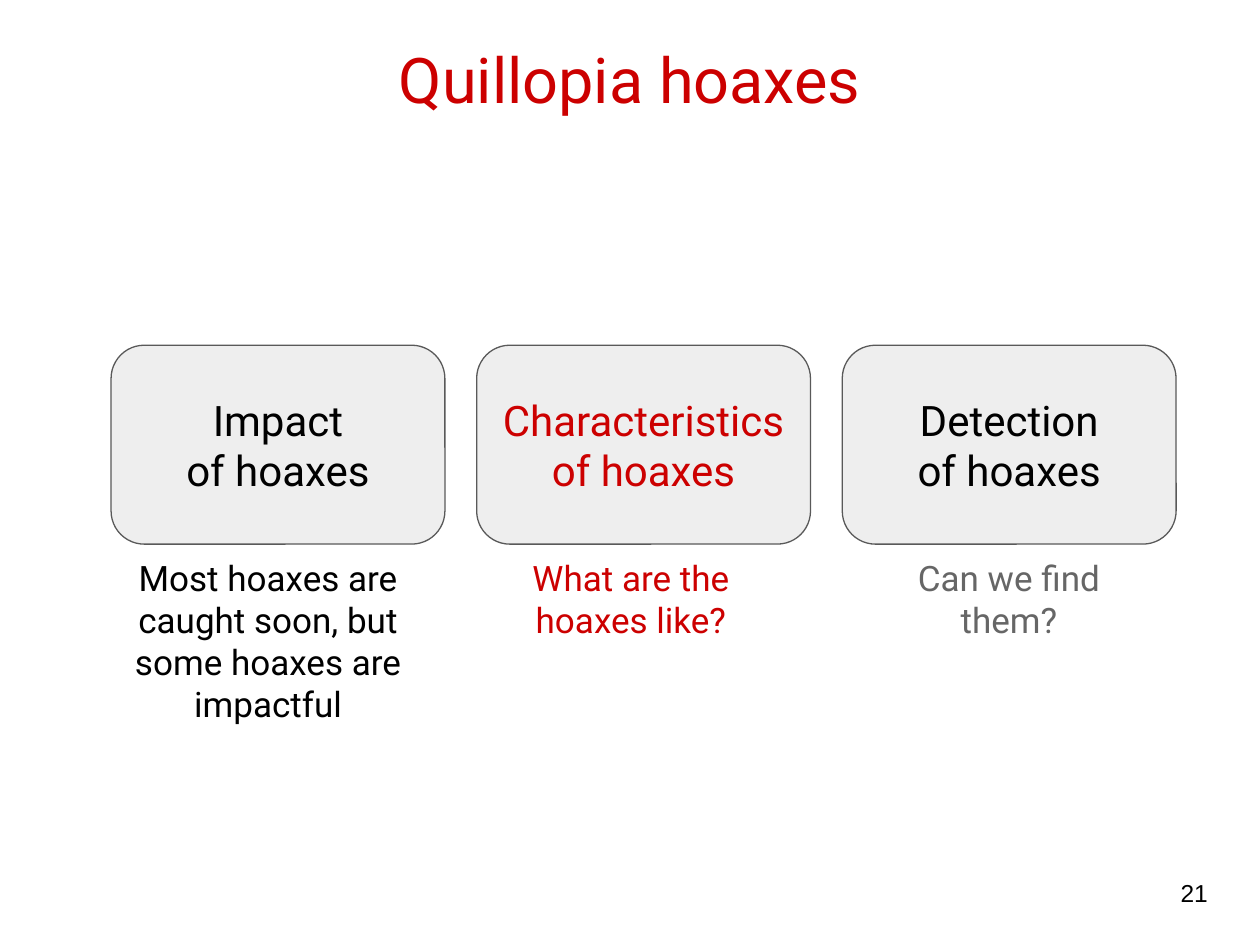
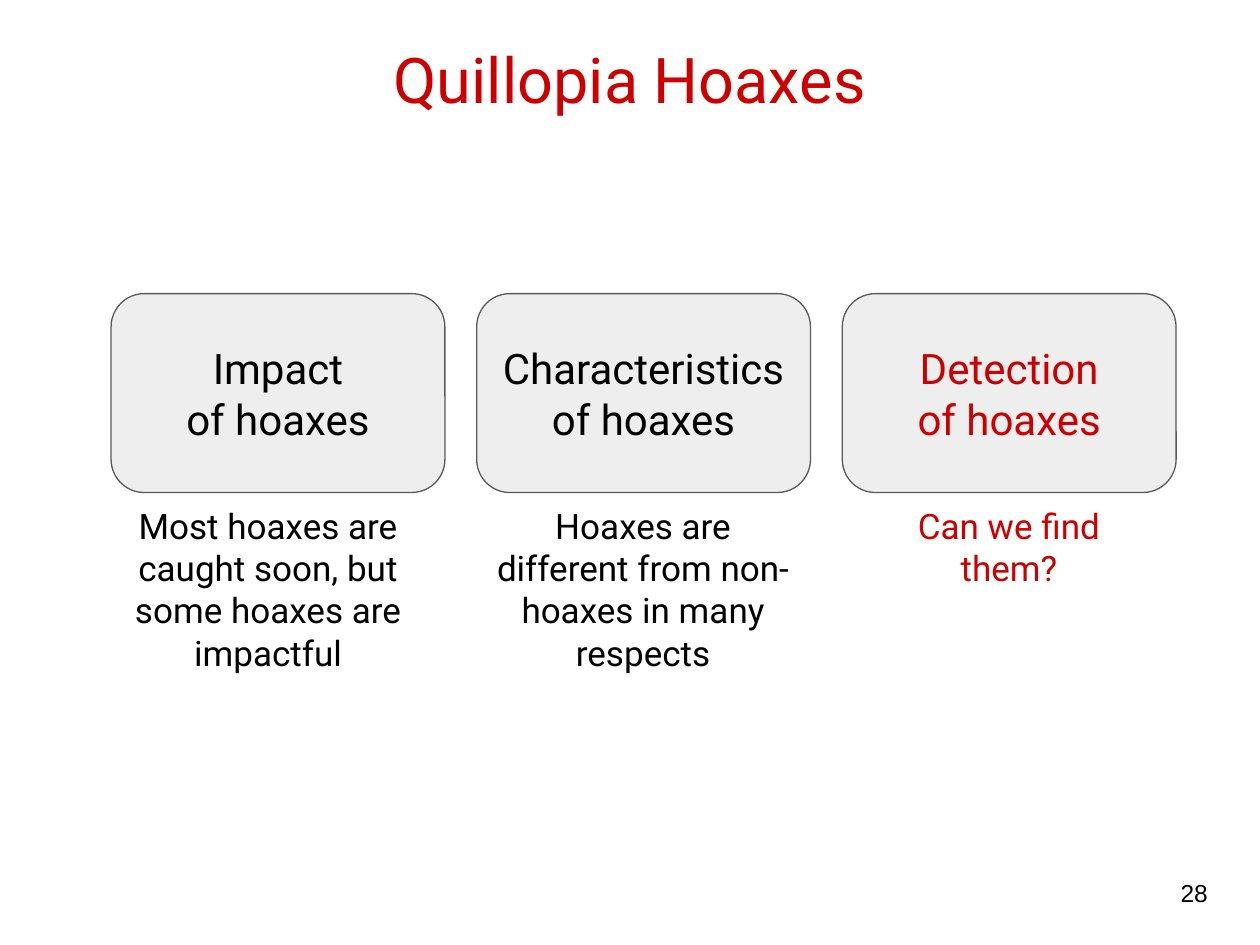
from pptx import Presentation, util as u
from pptx.dml.color import RGBColor
from pptx.enum import shapes, text

Cm = u.Cm
RED, BLACK, GREY = "CC0000", "000000", "666666"
BOX_FILL, BOX_LINE = "EEEEEE", "595959"
FONT, NUMBER_FONT = "Roboto", "Arial"

# Content: each topic has a name, its colour, a caption and the caption colour
IMPACT = ("Impact", BLACK,
          "Most hoaxes are caught soon, but some hoaxes are impactful", BLACK)
SLIDES = [
    {"title": "Quillopia hoaxes", "number": "21", "top": 6.96,
     "caption_spans": [(2.41, 5.99), (9.86, 5.72), (17.48, 5.72)],
     "topics": [IMPACT,
                ("Characteristics", RED, "What are the hoaxes like?", RED),
                ("Detection", BLACK, "Can we find them?", GREY)]},
    {"title": "Quillopia Hoaxes", "number": "28", "top": 5.92,
     "caption_spans": [(2.41, 5.99), (9.6, 6.73), (17.48, 5.72)],
     "topics": [IMPACT,
                ("Characteristics", BLACK,
                 "Hoaxes are different from non-hoaxes in many respects", BLACK),
                ("Detection", RED, "Can we find them?", RED)]},
]

# Row of boxes, in centimetres
BOX_LEFT, BOX_STEP, BOX_WIDTH, BOX_HEIGHT = 2.24, 7.37, 6.73, 4.01
CAPTION_HEIGHT = 4.5
INSET = 0.25


def color(hex_string):
    return RGBColor.from_string(hex_string)


def write(shape, words, size, hex_string, anchor, font=FONT,
          align=text.PP_ALIGN.CENTER):
    frame = shape.text_frame
    frame.text = words
    frame.word_wrap = True
    frame.auto_size = text.MSO_AUTO_SIZE.NONE
    frame.vertical_anchor = anchor
    frame.margin_left = frame.margin_right = Cm(INSET)
    frame.margin_top = frame.margin_bottom = Cm(INSET)
    for paragraph in frame.paragraphs:
        paragraph.alignment = align
        for run in paragraph.runs:
            run.font.size = u.Pt(size)
            run.font.name = font
            run.font.color.rgb = color(hex_string)


def add_frame(presentation, title, number):
    """Add a slide with its title and page number."""
    slide = presentation.slides.add_slide(presentation.slide_layouts[5])
    heading = slide.shapes.title
    heading.left, heading.top = Cm(0.86), Cm(0)
    heading.width, heading.height = Cm(23.67), Cm(2.59)
    write(heading, title, 36, RED, text.MSO_ANCHOR.BOTTOM)
    page = slide.shapes.add_textbox(Cm(23.55), Cm(17.27), Cm(1.52), Cm(1.45))
    write(page, number, 14, BLACK, text.MSO_ANCHOR.MIDDLE, NUMBER_FONT,
          text.PP_ALIGN.LEFT)
    return slide


def add_topic_box(slide, left, top, name, hex_string):
    box = slide.shapes.add_shape(shapes.MSO_SHAPE.ROUNDED_RECTANGLE, Cm(left),
                                 Cm(top), Cm(BOX_WIDTH), Cm(BOX_HEIGHT))
    box.shadow.inherit = False
    box.fill.solid()
    box.fill.fore_color.rgb = color(BOX_FILL)
    box.line.color.rgb = color(BOX_LINE)
    box.line.width = u.Pt(0.75)
    write(box, f"{name}\nof hoaxes", 24, hex_string, text.MSO_ANCHOR.MIDDLE)


def main():
    presentation = Presentation()
    presentation.slide_width, presentation.slide_height = Cm(25.4), Cm(19.05)
    for content in SLIDES:
        slide = add_frame(presentation, content["title"], content["number"])
        top = content["top"]
        columns = zip(content["topics"], content["caption_spans"])
        for index, (topic, (caption_left, caption_width)) in enumerate(columns):
            name, name_color, caption, caption_color = topic
            add_topic_box(slide, BOX_LEFT + index * BOX_STEP, top, name, name_color)
            label = slide.shapes.add_textbox(
                Cm(caption_left), Cm(top + BOX_HEIGHT),
                Cm(caption_width), Cm(CAPTION_HEIGHT))
            write(label, caption, 20, caption_color, text.MSO_ANCHOR.TOP)
    presentation.save("out.pptx")


if __name__ == "__main__":
    main()
